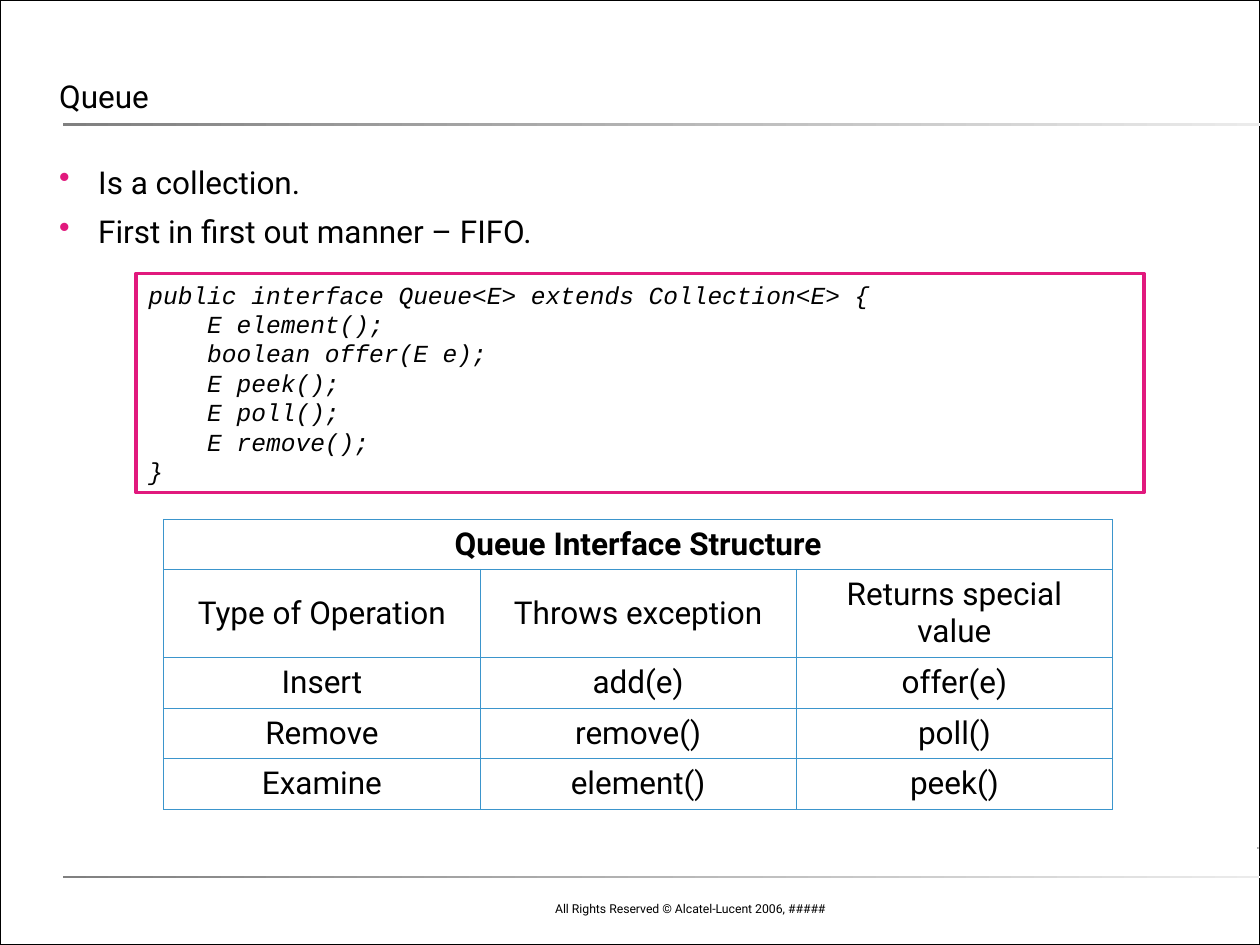
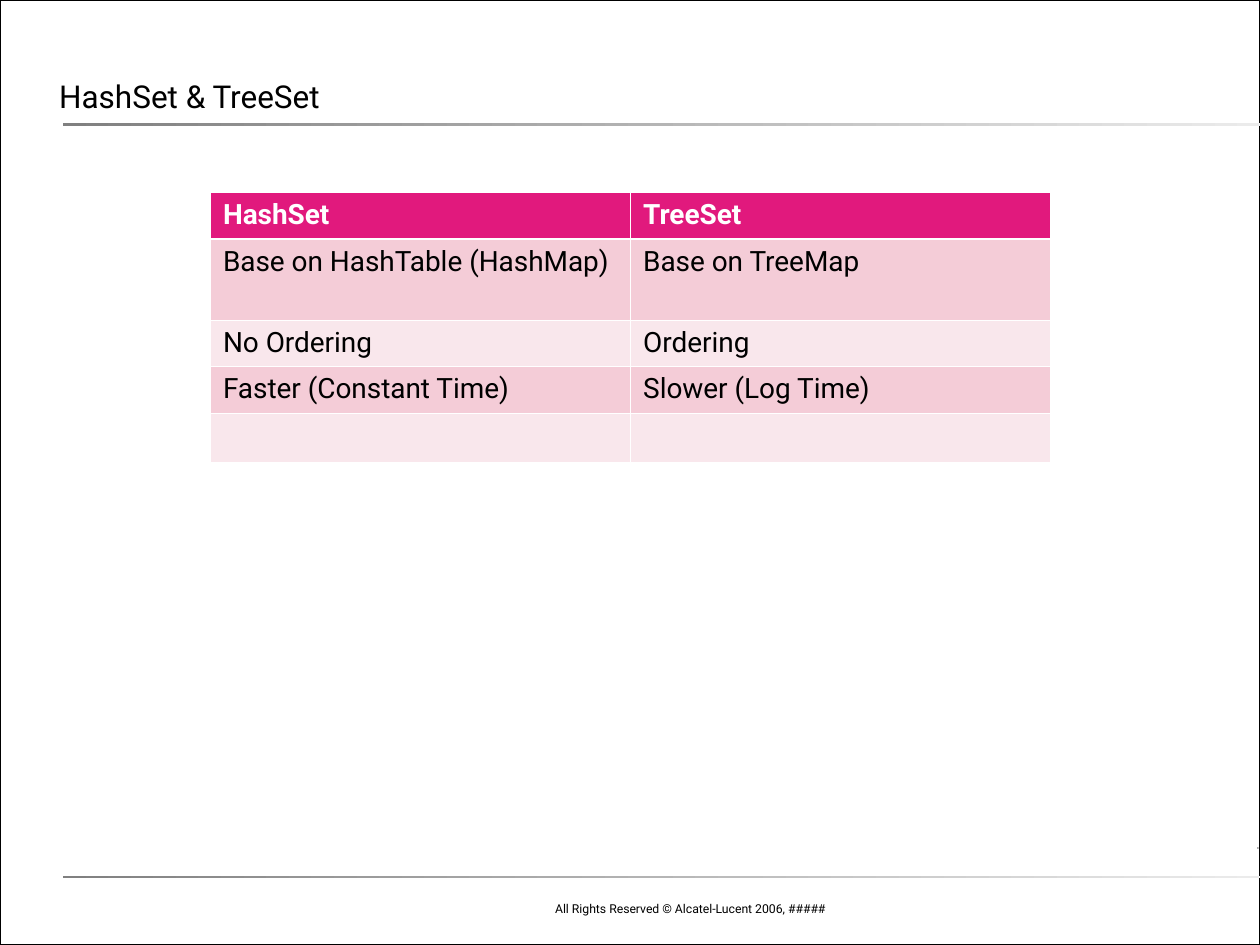
from dataclasses import dataclass
from typing import NamedTuple

from lxml.etree import SubElement
from pptx import Presentation
from pptx.dml.color import RGBColor
from pptx.enum.shapes import MSO_SHAPE as Shape
from pptx.enum.text import MSO_ANCHOR as Anchor, PP_ALIGN as Align
from pptx.oxml.ns import qn
from pptx.util import Inches, Pt


@dataclass(frozen=True)
class Theme:
    font: str = "Roboto"
    code_font: str = "Courier New"
    ink: str = "000000"
    paper: str = "FFFFFF"
    pink: str = "E1197D"
    pink_band: str = "F4CCD7"
    pale_band: str = "F9E7EC"
    grid_blue: str = "3B95CC"
    rule_dark: str = "808080"
    rule_light: str = "EBEBEB"
    mark_light: str = "D7D7D7"
    body_size: float = 18
    table_size: float = 16
    code_size: float = 14
    footer_size: float = 7


THEME = Theme()


class Area(NamedTuple):
    left: float
    top: float
    width: float
    height: float

    def lengths(self) -> list:
        return [Inches(value) for value in self]


class TextStyle(NamedTuple):
    size: float = THEME.body_size
    color: str = THEME.ink
    font: str = THEME.font
    bold: bool = False
    italic: bool = False


class GradientBar(NamedTuple):
    area: Area
    end_color: str = THEME.rule_light


class TableLook(NamedTuple):
    heading: TextStyle
    body: TextStyle
    fills: list
    border: str
    heading_line: float
    align: Align
    anchor: Anchor


BARS = [
    GradientBar(Area(9.98, 6.72, 0.01, 0.02), THEME.mark_light),
    GradientBar(Area(0.5, 6.95, 9.5, 0.02)),
    GradientBar(Area(0.5, 0.98, 9.5, 0.02)),
]
FOOTER = "All Rights Reserved © Alcatel-Lucent 2006, #####"
THIN_LINE = 0.45

QUEUE_POINTS = ["Is a collection.", "First in first out manner – FIFO."]
QUEUE_CODE = """public interface Queue<E> extends Collection<E> {
    E element();
    boolean offer(E e);
    E peek();
    E poll();
    E remove();
}"""
QUEUE_ROWS = [
    ["Queue Interface Structure", "", ""],
    ["Type of Operation", "Throws exception", "Returns special value"],
    ["Insert", "add(e)", "offer(e)"],
    ["Remove", "remove()", "poll()"],
    ["Examine", "element()", "peek()"],
]
QUEUE_LOOK = TableLook(
    TextStyle(bold=True), TextStyle(), [None] * 5,
    THEME.grid_blue, 0.96, Align.CENTER, Anchor.MIDDLE,
)
SET_ROWS = [
    ["HashSet", "TreeSet"],
    ["Base on HashTable (HashMap)", "Base on TreeMap"],
    ["No Ordering", "Ordering"],
    ["Faster (Constant Time)", "Slower (Log Time)"],
    ["", ""],
]
SET_LOOK = TableLook(
    TextStyle(THEME.table_size, THEME.paper, bold=True), TextStyle(THEME.table_size),
    [THEME.pink] + [THEME.pink_band, THEME.pale_band] * 2,
    THEME.paper, 1.47, Align.LEFT, Anchor.TOP,
)


def rgb(color: str) -> RGBColor:
    return RGBColor.from_string(color)


def write(frame, text: str, style: TextStyle, align: Align = Align.LEFT) -> None:
    frame.text = text
    frame.word_wrap = True
    for paragraph in frame.paragraphs:
        paragraph.alignment = align
        for font in [paragraph.font] + [span.font for span in paragraph.runs]:
            font.name, font.size = style.font, Pt(style.size)
            font.bold, font.italic = style.bold, style.italic
            font.color.rgb = rgb(style.color)


def add_text(page, area: Area, text: str, style: TextStyle, anchor: Anchor = Anchor.TOP,
             align: Align = Align.LEFT, flush: bool = True):
    frame = page.shapes.add_textbox(*area.lengths()).text_frame
    if flush:
        frame.margin_left = frame.margin_right = frame.margin_top = frame.margin_bottom = 0
    frame.vertical_anchor = anchor
    write(frame, text, style, align)
    return frame


def add_box(page, area: Area, line_color: str, width: float):
    box = page.shapes.add_shape(Shape.RECTANGLE, *area.lengths())
    box.shadow.inherit = False
    box.fill.background()
    box.line.color.rgb = rgb(line_color)
    box.line.width = Pt(width)
    return box


def add_bar(page, bar: GradientBar) -> None:
    box = page.shapes.add_shape(Shape.RECTANGLE, *bar.area.lengths())
    box.shadow.inherit = False
    box.line.fill.background()
    box.fill.gradient()
    box.fill.gradient_angle = 0
    for stop, color in zip(box.fill.gradient_stops, (THEME.rule_dark, bar.end_color)):
        stop.color.rgb = rgb(color)


def add_page(deck, title: str):
    page = deck.slides.add_slide(deck.slide_layouts[6])
    page.background.fill.solid()
    page.background.fill.fore_color.rgb = rgb(THEME.paper)
    add_box(page, Area(0, 0, 10, 7.5), THEME.ink, 1)
    for bar in BARS:
        add_bar(page, bar)
    add_text(page, Area(3.5, 7.07, 3.15, 0.25), FOOTER, TextStyle(THEME.footer_size),
             Anchor.BOTTOM, Align.RIGHT, flush=False)
    heading = add_text(page, Area(0.47, 0.08, 9.06, 0.83), title, TextStyle(), Anchor.BOTTOM)
    heading.paragraphs[0].line_spacing = 1.2
    return page


def add_bullets(page, area: Area, points: list) -> None:
    frame = add_text(page, area, "\n".join(points), TextStyle())
    for index, paragraph in enumerate(frame.paragraphs):
        properties = paragraph._p.get_or_add_pPr()
        properties.set("marL", str(Inches(0.31)))
        properties.set("indent", str(-Inches(0.31)))
        bullet = SubElement(properties, qn("a:buChar"), char="•")
        color = SubElement(properties, qn("a:buClr"))
        SubElement(color, qn("a:srgbClr"), val=THEME.pink)
        bullet.addprevious(color)
        defaults = properties.find(qn("a:defRPr"))
        if defaults is not None:
            bullet.addnext(defaults)
        if index:
            paragraph.space_before = Pt(6.8)


def set_borders(cell, color: str, top: float, bottom: float) -> None:
    properties = cell._tc.get_or_add_tcPr()
    widths = {"a:lnL": THIN_LINE, "a:lnR": THIN_LINE, "a:lnT": top, "a:lnB": bottom}
    for index, (side, width) in enumerate(widths.items()):
        line = SubElement(properties, qn(side), w=str(Pt(width)))
        fill = SubElement(line, qn("a:solidFill"))
        SubElement(fill, qn("a:srgbClr"), val=color)
        properties.insert(index, line)


def add_grid(page, area: Area, heights: list, rows: list, look: TableLook):
    table = page.shapes.add_table(len(rows), len(rows[0]), *area.lengths()).table
    table.first_row = table.horz_banding = False
    for row, height in zip(table.rows, heights):
        row.height = Inches(height)
    for index, texts in enumerate(rows):
        for cell, text in zip(table.rows[index].cells, texts):
            write(cell.text_frame, text, look.body if index else look.heading, look.align)
            cell.vertical_anchor = look.anchor
            if look.fills[index]:
                cell.fill.solid()
                cell.fill.fore_color.rgb = rgb(look.fills[index])
            else:
                cell.fill.background()
            set_borders(cell, look.border,
                        look.heading_line if index == 1 else THIN_LINE,
                        look.heading_line if index == 0 else THIN_LINE)
    return table


def build_queue(deck) -> None:
    page = add_page(deck, "Queue")
    add_bullets(page, Area(0.47, 1.29, 9.06, 4.95), QUEUE_POINTS)
    code = add_box(page, Area(1.08, 2.17, 8, 1.74), THEME.pink, 2)
    code.fill.solid()
    code.fill.fore_color.rgb = rgb(THEME.paper)
    code.text_frame.vertical_anchor = Anchor.TOP
    write(code.text_frame, QUEUE_CODE,
          TextStyle(THEME.code_size, font=THEME.code_font, italic=True))
    table = add_grid(page, Area(1.3, 4.12, 7.53, 2.3), [0.4, 0.7, 0.4, 0.4, 0.4],
                     QUEUE_ROWS, QUEUE_LOOK)
    table.cell(0, 0).merge(table.cell(0, 2))


def build_sets(deck) -> None:
    page = add_page(deck, "HashSet & TreeSet")
    add_grid(page, Area(1.67, 1.53, 6.67, 2.14), [0.37, 0.64, 0.37, 0.37, 0.39],
             SET_ROWS, SET_LOOK)


def main() -> None:
    """Build the two collection slides and save the deck."""
    deck = Presentation()
    deck.slide_width, deck.slide_height = Inches(10), Inches(7.5)
    build_queue(deck)
    build_sets(deck)
    deck.save("out.pptx")


if __name__ == "__main__":
    main()
